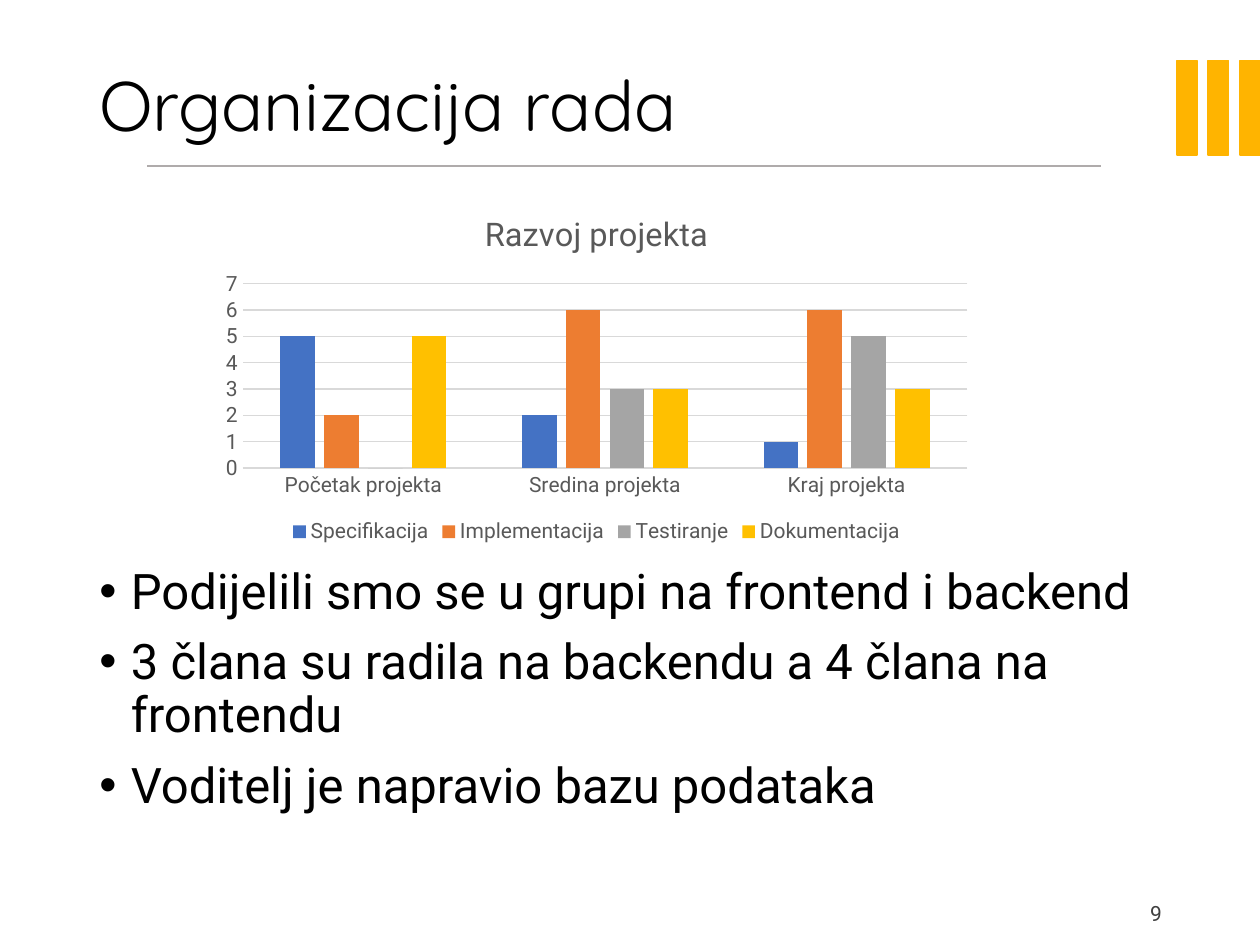
import pptx
import pptx.chart.data
import pptx.dml.color
import pptx.enum.chart
import pptx.enum.shapes
import pptx.enum.text
import pptx.oxml
import pptx.oxml.ns
import pptx.util
from pptx.util import Inches, Pt

COLOURS = {
    "accent": "FFB400", "rule": "AFABAB", "ink": "000000", "number": "404040",
    "label": "595959", "grid": "D9D9D9",
}
CATEGORIES = ["Početak projekta", "Sredina projekta", "Kraj projekta"]
SERIES = [
    ("Specifikacija", (5, 2, 1), "4472C4"),
    ("Implementacija", (2, 6, 6), "ED7D31"),
    ("Testiranje", (0, 3, 5), "A5A5A5"),
    ("Dokumentacija", (5, 3, 3), "FFC000"),
]
POINTS = [
    "Podijelili smo se u grupi na frontend i backend",
    "3 člana su radila na backendu a 4 člana na frontendu",
    "Voditelj je napravio bazu podataka",
]


def rgb(value):
    return pptx.dml.color.RGBColor.from_string(value)


def apply(target, **values):
    for name, value in values.items():
        setattr(target, name, value)


def style_font(font, size, colour, name="Roboto"):
    apply(font, size=Pt(size), name=name, bold=False)
    font.color.rgb = rgb(COLOURS[colour])


def style_line(line, colour, width):
    line.color.rgb = rgb(COLOURS[colour])
    line.width = Pt(width)


def add_text(slide, box, lines, font, frame_format, paragraph_format):
    frame = slide.shapes.add_textbox(*box).text_frame
    apply(frame, word_wrap=True, **frame_format)
    for index, line in enumerate(lines):
        paragraph = frame.add_paragraph() if index else frame.paragraphs[0]
        apply(paragraph, **paragraph_format)
        run = paragraph.add_run()
        run.text = line
        style_font(run.font, *font)
    return frame


def add_stripes(slide, left, top, width, height):
    stripe_width = Inches(0.16)
    pitch = (width - stripe_width) // 2
    for index in range(3):
        stripe = slide.shapes.add_shape(
            pptx.enum.shapes.MSO_SHAPE.RECTANGLE,
            left + index * pitch, top, stripe_width, height)
        stripe.shadow.inherit = False
        stripe.fill.solid()
        stripe.fill.fore_color.rgb = rgb(COLOURS["accent"])
        style_line(stripe.line, "accent", 1)


def add_heading(slide, left, top, width, height):
    bottom = top + height
    rule = slide.shapes.add_connector(
        pptx.enum.shapes.MSO_CONNECTOR.STRAIGHT,
        left + Inches(0.48), bottom, left + Inches(8.05), bottom)
    style_line(rule.line, "rule", 1)
    rule._element.spPr.append(pptx.oxml.parse_xml(
        f'<a:effectLst {pptx.oxml.ns.nsdecls("a")}/>'))
    add_text(slide, (left, top, width, height), ["Organizacija rada"],
             (40, "ink", "Quicksand"),
             {"vertical_anchor": pptx.enum.text.MSO_ANCHOR.MIDDLE},
             {"line_spacing": 0.9})


def add_progress_chart(slide, left, top, width, height):
    data = pptx.chart.data.CategoryChartData()
    data.categories = CATEGORIES
    for name, values, _ in SERIES:
        data.add_series(name, values)
    chart = slide.shapes.add_chart(
        pptx.enum.chart.XL_CHART_TYPE.COLUMN_CLUSTERED,
        left, top, width, height, data).chart
    style_font(chart.font, 10, "ink")
    apply(chart, has_title=True, has_legend=True)

    title = chart.chart_title.text_frame
    title.text = "Razvoj projekta"
    style_font(title.paragraphs[0].runs[0].font, 18.6, "label")
    apply(chart.legend, include_in_layout=False,
          position=pptx.enum.chart.XL_LEGEND_POSITION.BOTTOM)
    style_font(chart.legend.font, 12, "label")

    no_tick = pptx.enum.chart.XL_TICK_MARK.NONE
    for axis in (chart.category_axis, chart.value_axis):
        apply(axis, major_tick_mark=no_tick, minor_tick_mark=no_tick)
        style_font(axis.tick_labels.font, 12, "label")
    style_line(chart.category_axis.format.line, "grid", 0.75)
    apply(chart.value_axis, minimum_scale=0, maximum_scale=7, major_unit=1,
          has_major_gridlines=True)
    chart.value_axis.format.line.fill.background()
    style_line(chart.value_axis.major_gridlines.format.line, "grid", 0.75)

    plot = chart.plots[0]
    apply(plot, gap_width=219, overlap=-27, vary_by_categories=False)
    for series, (_, _, colour) in zip(plot.series, SERIES):
        series.format.fill.solid()
        series.format.fill.fore_color.rgb = rgb(colour)


def add_points(slide, left, top, width, height):
    frame = add_text(slide, (left, top, width, height), POINTS, (28, "ink"), {},
                     {"line_spacing": 0.9, "space_before": Pt(10)})
    for paragraph in frame.paragraphs:
        properties = paragraph._p.get_or_add_pPr()
        properties.set("marL", str(Inches(0.25)))
        properties.set("indent", str(-Inches(0.25)))
        for tag, attribute in (('buFont', 'typeface="Arial"'), ('buChar', 'char="•"')):
            properties.append(pptx.oxml.parse_xml(
                f'<a:{tag} {pptx.oxml.ns.nsdecls("a")} {attribute}/>'))


def add_page_number(slide, left, top, width, height):
    add_text(slide, (left, top, width, height), ["9"], (12, "number"), {},
             {"alignment": pptx.enum.text.PP_ALIGN.RIGHT})


def main():
    presentation = pptx.Presentation()
    apply(presentation, slide_width=Inches(10), slide_height=Inches(7.5))
    slide = presentation.slides.add_slide(presentation.slide_layouts[6])
    regions = [
        (add_stripes, (9.34, 0.48, 0.66, 0.75)),
        (add_heading, (0.69, 0.4, 8.62, 0.92)),
        (add_points, (0.69, 4.45, 8.62, 2.47)),
        (add_page_number, (8.74, 7.1, 0.58, 0.4)),
        (add_progress_chart, (1.67, 1.53, 6.13, 2.83)),
    ]
    for add_region, box in regions:
        add_region(slide, *map(Inches, box))
    presentation.save("out.pptx")


if __name__ == "__main__":
    main()
